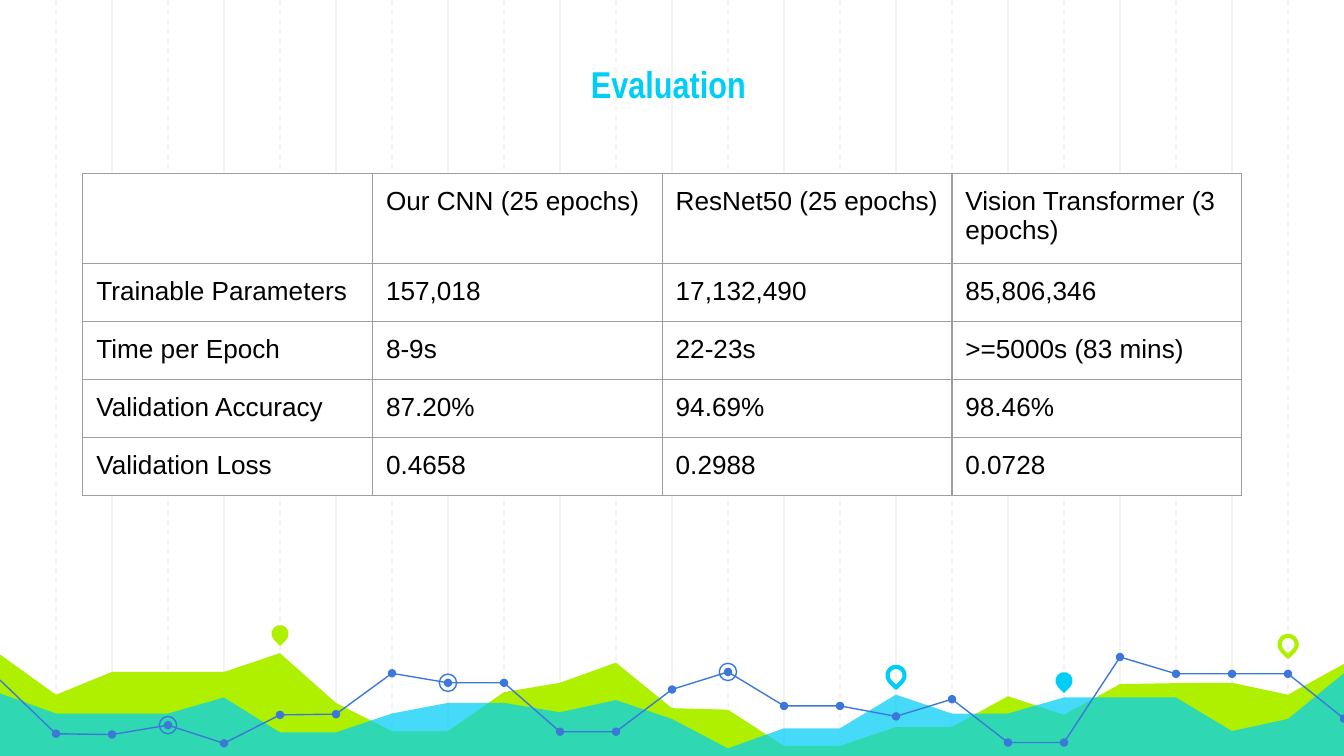
from lxml.etree import SubElement
from pptx import Presentation
from pptx.dml.color import RGBColor
from pptx.enum.dml import MSO_LINE
from pptx.enum.shapes import MSO_CONNECTOR, MSO_SHAPE
from pptx.enum.text import MSO_ANCHOR, MSO_AUTO_SIZE, PP_ALIGN
from pptx.oxml.ns import qn
from pptx.util import Pt

COLORS = {
    "white": "FFFFFF", "black": "000000", "grid": "F3F3F3", "border": "9E9E9E",
    "green": "AFF000", "cyan": "00CEF6", "blue": "3C78D8",
}
WIDTH, HEIGHT = 720, 405
STEP = 30  # distance between grid columns
INSET = 7.2

# Heights at each grid column, measured down from the top of the scenery
GREEN_HILLS = [20.6, 42.2, 30, 30, 30, 19.9, 46.6, 61.7, 61.7, 40.8, 35.8, 25, 49.4,
               50.2, 69.6, 69.6, 59.5, 59.5, 43, 53, 36.5, 36, 35.8, 42.2, 25.7]
CYAN_HILLS = [41.5, 52.3, 52.3, 52.3, 43.7, 62.4, 62.4, 52.3, 46.6, 46.6, 51.6, 45.1, 55.2,
              71, 60.2, 60.2, 42.2, 52.3, 52.3, 43.7, 43.7, 43.7, 61.7, 55.2, 30.7]
TREND = [34.3, 63.1, 63.5, 58.5, 68.2, 53, 52.6, 30.7, 35.8, 35.8, 62, 62, 39.4,
         30, 48.2, 48.2, 53.8, 44.6, 67.8, 67.8, 22, 31, 31, 31, 55]
TREND_BREAKS = [0, 11, 20, 24]
RINGED_COLUMNS = [3, 8, 13]
PINS = [(5, 9.5, "green", True), (16, 31.8, "cyan", False),
        (19, 34.7, "cyan", True), (23, 15.2, "green", False)]

RESULTS = [
    ["", "Our CNN (25 epochs)", "ResNet50 (25 epochs)", "Vision Transformer (3 epochs)"],
    ["Trainable Parameters", "157,018", "17,132,490", "85,806,346"],
    ["Time per Epoch", "8-9s", "22-23s", ">=5000s (83 mins)"],
    ["Validation Accuracy", "87.20%", "94.69%", "98.46%"],
    ["Validation Loss", "0.4658", "0.2988", "0.0728"],
]


def rgb(name):
    return RGBColor.from_string(COLORS[name])


def paint(shape, fill=None, line=None, weight=0.75):
    shape.shadow.inherit = False
    if fill:
        shape.fill.solid()
        shape.fill.fore_color.rgb = rgb(fill)
    else:
        shape.fill.background()
    if line:
        shape.line.color.rgb = rgb(line)
        shape.line.width = Pt(weight)
    else:
        shape.line.fill.background()


def style_runs(para, font, size, color, bold=False):
    for span in para.runs:
        span.font.name, span.font.size, span.font.bold = font, Pt(size), bold
        span.font.color.rgb = rgb(color)


def add_grid(page, left, top, width, height):
    """Vertical lines at every step, dashed on odd columns."""
    for column in range(1, width // STEP):
        x = Pt(left + column * STEP)
        line = page.shapes.add_connector(MSO_CONNECTOR.STRAIGHT, x, Pt(top), x, Pt(top + height))
        line.line.color.rgb = rgb("grid")
        line.line.width = Pt(0.75)
        if column % 2:
            line.line.dash_style = MSO_LINE.DASH
        SubElement(line.element.spPr, qn("a:effectLst"))


def add_path(page, points, close):
    points = [(Pt(x), Pt(y)) for x, y in points]
    builder = page.shapes.build_freeform(*points[0])
    builder.add_line_segments(points[1:], close=close)
    return builder.convert_to_shape()


def add_mark(page, kind, center, size):
    x, y = center
    return page.shapes.add_shape(kind, Pt(x - size / 2), Pt(y - size / 2), Pt(size), Pt(size))


def add_scenery(page, left, top, height):
    """Two layers of hills, a trend line with dots and rings, and map pins."""
    def locate(heights):
        return [(left + column * STEP, top + y) for column, y in enumerate(heights)]

    def add_hills(heights, color):
        ridge = locate(heights)
        base = [(ridge[-1][0], top + height), (left, top + height)]
        hills = add_path(page, ridge + base, close=True)
        paint(hills, fill=color)
        return hills

    add_hills(GREEN_HILLS, "green")
    front = add_hills(CYAN_HILLS, "cyan")
    tint = front.element.spPr.find(qn("a:solidFill")).find(qn("a:srgbClr"))
    SubElement(tint, qn("a:alpha"), val="73000")

    trend = locate(TREND)
    for first, last in zip(TREND_BREAKS, TREND_BREAKS[1:]):
        paint(add_path(page, trend[first:last + 1], close=False), line="blue")
    for point in trend[1:]:
        paint(add_mark(page, MSO_SHAPE.OVAL, point, 4.5), fill="blue")
    for column in RINGED_COLUMNS:
        paint(add_mark(page, MSO_SHAPE.OVAL, trend[column], 9.3), line="blue")

    for column, y, color, filled in PINS:
        pin = add_mark(page, MSO_SHAPE.TEAR, (left + column * STEP, top + y), 9.3)
        pin.rotation = 135
        if filled:
            paint(pin, fill=color)
        else:
            paint(pin, line=color, weight=2.25)


def set_title(page, text, left, top, width, height):
    title = page.shapes.title
    page.shapes.element.append(title.element)  # in front of the grid
    title.left, title.top, title.width, title.height = map(Pt, (left, top, width, height))
    frame = title.text_frame
    frame.text = text
    frame.word_wrap = True
    frame.auto_size = MSO_AUTO_SIZE.NONE
    frame.vertical_anchor = MSO_ANCHOR.BOTTOM
    frame.margin_left = frame.margin_right = frame.margin_top = frame.margin_bottom = Pt(INSET)
    frame.paragraphs[0].alignment = PP_ALIGN.CENTER
    style_runs(frame.paragraphs[0], "Arial Narrow", 20, "cyan", bold=True)


def set_borders(cell):
    properties = cell._tc.get_or_add_tcPr()
    for side in ("lnL", "lnR", "lnT", "lnB"):
        border = SubElement(properties, qn(f"a:{side}"), w=str(Pt(0.75)))
        fill = SubElement(border, qn("a:solidFill"))
        SubElement(fill, qn("a:srgbClr"), val=COLORS["border"])


def add_results(page, left, top, width, header_height, row_height):
    rows, columns = len(RESULTS), len(RESULTS[0])
    height = header_height + (rows - 1) * row_height
    frame = page.shapes.add_table(rows, columns, Pt(left), Pt(top), Pt(width), Pt(height))
    table = frame.table
    table.first_row = table.horz_banding = False
    for column in table.columns:
        column.width = Pt(width / columns)
    for index, (row, texts) in enumerate(zip(table.rows, RESULTS)):
        row.height = Pt(row_height if index else header_height)
        for cell, text in zip(row.cells, texts):
            set_borders(cell)
            cell.fill.solid()
            cell.fill.fore_color.rgb = rgb("white")
            cell.margin_left = cell.margin_right = Pt(INSET)
            cell.margin_top = cell.margin_bottom = Pt(INSET)
            cell.text = text
            style_runs(cell.text_frame.paragraphs[0], "Arial", 14, "black")


def main():
    deck = Presentation()
    deck.slide_width, deck.slide_height = Pt(WIDTH), Pt(HEIGHT)
    page = deck.slides.add_slide(deck.slide_layouts[5])
    add_grid(page, 0, 0, WIDTH, HEIGHT)
    add_scenery(page, 0, 330, 76)
    set_title(page, "Evaluation", 82.6, 8, 551, 56)
    add_results(page, 44.4, 92.9, 620.8, 48.2, 31.1)
    deck.save("out.pptx")


if __name__ == "__main__":
    main()
